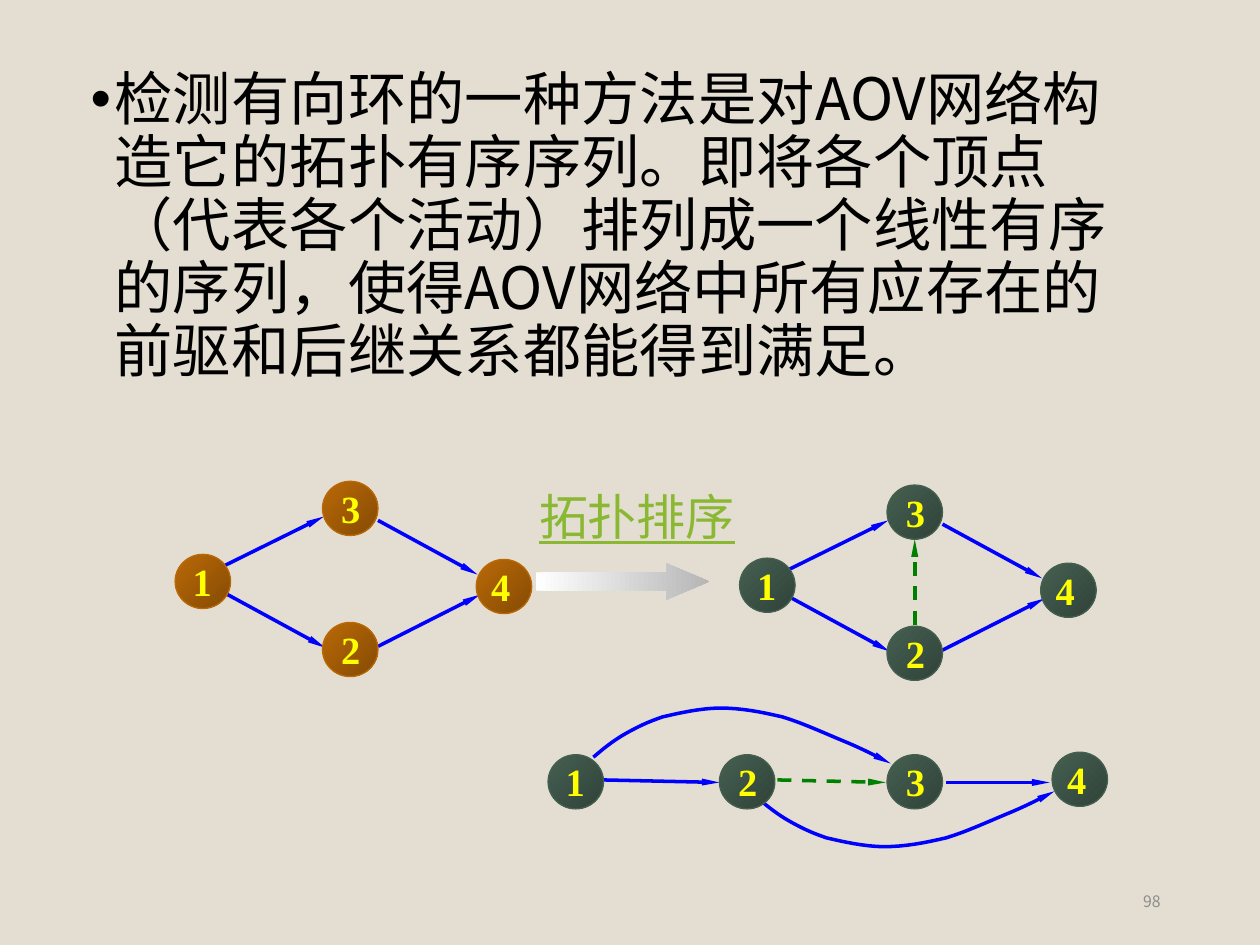
from lxml.etree import SubElement
from pptx import Presentation
from pptx.dml.color import RGBColor
from pptx.enum.dml import MSO_LINE
from pptx.enum.shapes import MSO_CONNECTOR, MSO_SHAPE
from pptx.enum.text import MSO_ANCHOR, MSO_AUTO_SIZE, PP_ALIGN
from pptx.oxml.ns import qn
from pptx.util import Inches, Pt

SAND = RGBColor(0xE3, 0xDE, 0xD1)
BLACK = RGBColor(0, 0, 0)
WHITE = RGBColor(255, 255, 255)
BLUE = RGBColor(0, 0, 255)
GREEN = RGBColor(0, 128, 0)
YELLOW = RGBColor(255, 255, 0)
LIME = RGBColor(0x8A, 0xB8, 0x33)
GRAY = RGBColor(0x8C, 0x8C, 0x8C)
BROWN = RGBColor(0xBA, 0x69, 0x06)
PINE = RGBColor(0x45, 0x5F, 0x51)

SANS = "Noto Sans CJK SC"
SERIF = "Times New Roman"
NODE_W, NODE_H = 0.44, 0.43
LABEL_DX = {1: 0.04, 2: 0.05, 3: 0.05, 4: 0.02}
LABEL_DY = -0.02

BODY = ("检测有向环的一种方法是对AOV网络构造它的拓扑有序序列。"
        "即将各个顶点（代表各个活动）排列成一个线性有序的序列，"
        "使得AOV网络中所有应存在的前驱和后继关系都能得到满足。")

DIAMOND = {1: (1.39, 4.4), 2: (2.56, 4.94), 3: (2.56, 3.82), 4: (3.78, 4.44)}
EDGES = [
    (1.76, 4.5, 2.57, 4.1),
    (1.79, 4.71, 2.58, 5.14),
    (3, 5.13, 3.81, 4.72),
    (3, 4.13, 3.79, 4.56),
]
ROW = {1: (4.35, 5.99), 2: (5.71, 5.99), 3: (7.04, 5.99), 4: (8.35, 5.97)}
ARC = [
    (4.71, 6.01), (4.79, 5.94), (4.88, 5.87), (4.97, 5.82),
    (5.06, 5.77), (5.14, 5.73), (5.26, 5.69),
    (5.39, 5.66), (5.56, 5.62), (5.72, 5.62),
    (5.88, 5.62), (6.04, 5.65), (6.21, 5.69),
    (6.38, 5.74), (6.59, 5.84), (6.74, 5.9),
    (6.88, 5.96), (7.01, 6.03), (7.07, 6.06),
]


def sample(ctrl, steps=8):
    """Return points along a chain of cubic Bezier curves."""
    points = [ctrl[0]]
    for i in range(0, len(ctrl) - 1, 3):
        for k in range(1, steps + 1):
            t = k / steps
            mix = ((1 - t) ** 3, 3 * t * (1 - t) ** 2, 3 * t * t * (1 - t), t ** 3)
            points.append(tuple(sum(m * p[axis] for m, p in zip(mix, ctrl[i:i + 4]))
                                for axis in (0, 1)))
    return points


class Board:
    def __init__(self, slide):
        self.slide = slide
        self.shapes = slide.shapes

    def group(self):
        """Send the elements that follow into a new group."""
        self.shapes = self.slide.shapes.add_group_shape().shapes

    def ungroup(self):
        self.shapes = self.slide.shapes

    def run(self, para, text, size, color, face=SANS):
        run = para.add_run()
        run.text = text
        font = run.font
        font.size, font.name = Pt(size), face
        font.color.rgb = color
        SubElement(font._element, qn("a:ea")).set("typeface", face)
        return font

    def text(self, x, y, w, h, text, size, color, face=SANS, wrap=False):
        box = self.shapes.add_textbox(Inches(x), Inches(y), Inches(w), Inches(h))
        box.text_frame.word_wrap = wrap
        para = box.text_frame.paragraphs[0]
        return box.text_frame, self.run(para, text, size, color, face)

    def body(self, holder, text):
        holder.left, holder.top = Inches(0.62), Inches(0.51)
        holder.width, holder.height = Inches(8.62), Inches(2.94)
        frame = holder.text_frame
        frame.auto_size = MSO_AUTO_SIZE.NONE
        para = frame.paragraphs[0]
        para.line_spacing, para.space_before = 0.9, Pt(0)
        props = para._p.get_or_add_pPr()
        props.set("marL", str(Inches(0.19)))
        props.set("indent", str(Inches(-0.19)))
        SubElement(props, qn("a:buChar")).set("char", "•")
        self.run(para, text, 33.3, BLACK)

    def shade(self, shape, color, angle):
        """Fill with a gradient from the colour to its dark shade."""
        shape.shadow.inherit = False
        shape.fill.gradient()
        shape.fill.gradient_angle = angle
        for stop, place in zip(shape.fill.gradient_stops, (0, 1)):
            stop.color.rgb, stop.position = color, place
        dark = shape.element.spPr.findall(".//" + qn("a:srgbClr"))[-1]
        SubElement(dark, qn("a:shade")).set("val", "46275")

    def node(self, num, x, y, color):
        oval = self.shapes.add_shape(MSO_SHAPE.OVAL, Inches(x), Inches(y),
                                     Inches(NODE_W), Inches(NODE_H))
        self.shade(oval, color, 315)
        oval.line.color.rgb, oval.line.width = color, Pt(0.75)
        font = self.text(x + LABEL_DX[num], y + LABEL_DY, 0.35, 0.47,
                         str(num), 22, YELLOW, SERIF)[1]
        font.bold = True

    def stroke(self, line, color):
        line.color.rgb, line.width = color, Pt(2)
        if color == GREEN:
            line.dash_style = MSO_LINE.DASH
        head = SubElement(line._get_or_add_ln(), qn("a:tailEnd"))
        for key, val in (("type", "triangle"), ("w", "sm"), ("len", "lg")):
            head.set(key, val)

    def edge(self, x1, y1, x2, y2, color=BLUE):
        link = self.shapes.add_connector(MSO_CONNECTOR.STRAIGHT, Inches(x1), Inches(y1),
                                         Inches(x2), Inches(y2))
        SubElement(link.element.spPr, qn("a:effectLst"))
        self.stroke(link.line, color)

    def curve(self, ctrl):
        start, *rest = [(Inches(x), Inches(y)) for x, y in sample(ctrl)]
        pen = self.shapes.build_freeform(*start)
        pen.add_line_segments(rest, close=False)
        arc = pen.convert_to_shape()
        arc.shadow.inherit = False
        arc.fill.background()
        self.stroke(arc.line, BLUE)

    def arrow(self, x, y, w, h):
        arrow = self.shapes.add_shape(MSO_SHAPE.RIGHT_ARROW, Inches(x), Inches(y),
                                      Inches(w), Inches(h))
        arrow.adjustments[0], arrow.adjustments[1] = 0.5, 1.18
        self.shade(arrow, WHITE, 0)
        arrow.line.fill.background()

    def diamond(self, dx, dy, color):
        self.group()
        for x1, y1, x2, y2 in EDGES:
            self.edge(x1 + dx, y1 + dy, x2 + dx, y2 + dy)
        for num, (x, y) in DIAMOND.items():
            self.node(num, x + dx, y + dy, color)


def main():
    deck = Presentation()
    deck.slide_width, deck.slide_height = Inches(10), Inches(7.5)
    slide = deck.slides.add_slide(deck.slide_layouts[1])
    slide.background.fill.solid()
    slide.background.fill.fore_color.rgb = SAND
    title = slide.shapes.title.element
    title.getparent().remove(title)
    board = Board(slide)
    board.body(slide.placeholders[1], BODY)

    board.diamond(0, 0, BROWN)
    board.ungroup()
    board.arrow(4.25, 4.47, 1.38, 0.29)
    board.text(4.18, 3.81, 1.76, 0.57, "拓扑排序", 28, LIME)[1].underline = True

    board.diamond(4.48, 0.03, PINE)
    board.edge(7.26, 4.96, 7.26, 4.28, GREEN)

    board.group()
    board.edge(4.78, 6.19, 5.71, 6.21)
    board.edge(6.17, 6.19, 7.03, 6.21, GREEN)
    board.edge(7.51, 6.21, 8.33, 6.21)
    board.curve(ARC)
    board.curve([(x + 1.3, 12.34 - y) for x, y in ARC])
    for num, (x, y) in ROW.items():
        board.node(num, x, y, PINE)

    board.ungroup()
    frame, _ = board.text(7.06, 6.95, 2.25, 0.4, "98", 9, GRAY, wrap=True)
    frame.vertical_anchor = MSO_ANCHOR.MIDDLE
    frame.paragraphs[0].alignment = PP_ALIGN.RIGHT
    deck.save("out.pptx")


if __name__ == "__main__":
    main()
